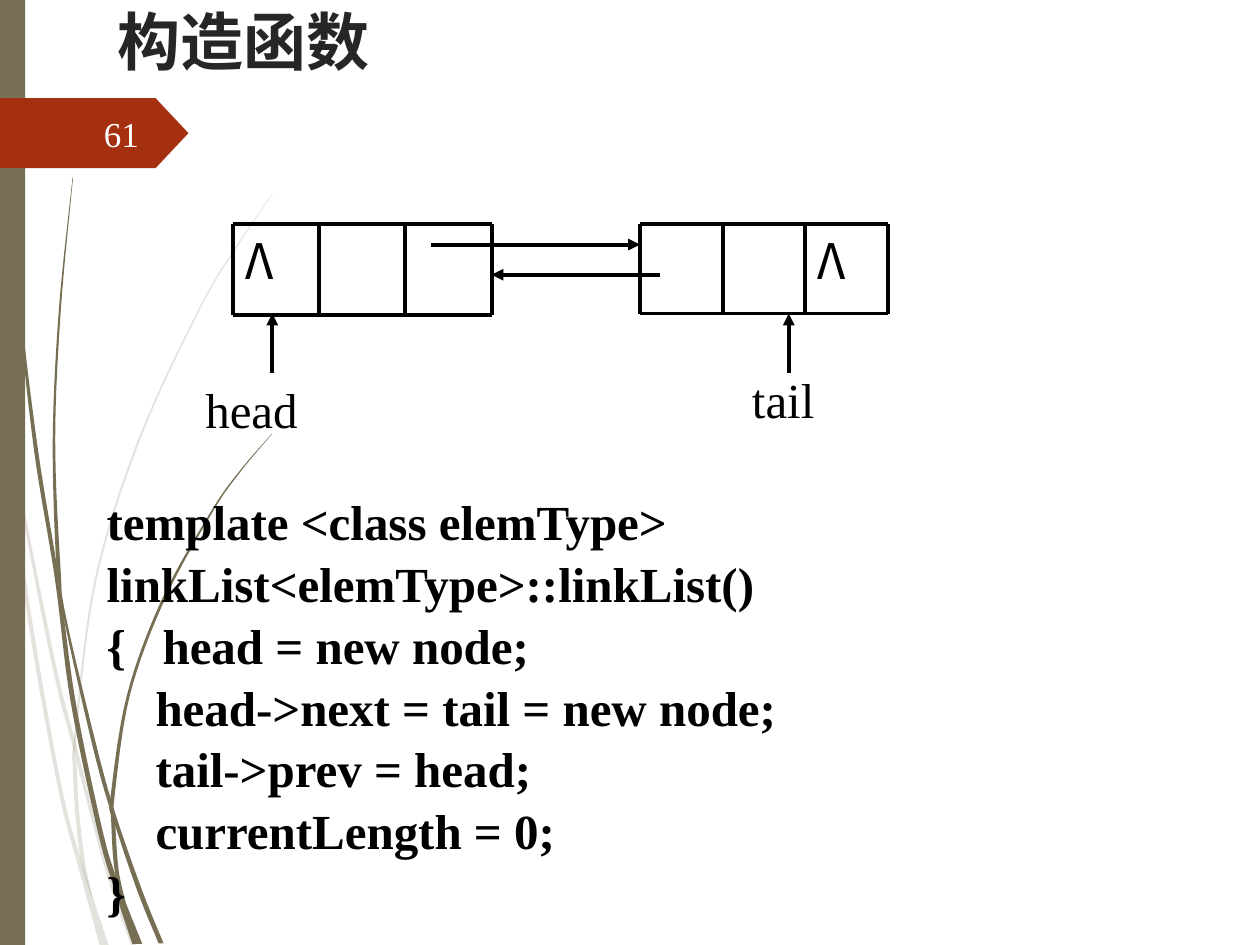
from lxml import etree
from pptx import Presentation
from pptx import util as u
from pptx.dml.color import RGBColor
from pptx.enum import shapes, text
from pptx.oxml import ns

COLORS = {"olive": "766F54", "rust": "A53010", "title": "262626",
          "number": "FEFFFF", "ink": "000000"}
SERIF, HEADING, CJK = "Times New Roman", "Quicksand", "Noto Sans CJK SC"

PALE_STEMS = [
    [(0, 7.4, .03), (.25, 9.14, .05), (1.05, 13.23, .08), (1.52, 15.11, .08),
     (2.18, 17.6, .08), (2.69, 19.05, .1)],
    [(.2, 8.89, .03), (.52, 11.94, .08), (1.18, 15.75, .08), (1.63, 17.48, .1),
     (2.1, 19.05, .18)],
    [(5.5, 3.89, .01), (4.74, 5.02, .03), (4.03, 6.21, .03), (2.81, 8.85, .04),
     (1.92, 11.72, .04), (1.52, 14.83, .05), (1.51, 15.49, .08),
     (1.56, 16.41, .08), (1.68, 17.4, .08), (1.85, 18.06, .02)],
]
DARK_STEMS = [
    [(.06, 0, .02), (.14, 2.79, .03), (.37, 5.92, .04), (.72, 9.02, .08),
     (1.15, 11.68, .08), (1.47, 14.12, .1), (2.01, 16.71, .1),
     (2.32, 17.78, .12), (2.77, 19.03, .2)],
    [(1.47, 3.58, .01), (1.21, 6.22, .04), (1.09, 8.86, .05), (1.18, 11.43, .08),
     (1.31, 12.45, .05), (1.9, 15.01, .08), (2.28, 16.38, .08),
     (2.82, 17.96, .1), (3.25, 19.02, .1)],
    [(5.49, 8.74, .01), (4.85, 9.49, .03), (4.28, 10.3, .04), (3.3, 12.07, .06),
     (2.59, 14.01, .06), (2.27, 16.05, .08), (2.28, 16.51, .08),
     (2.35, 17.53, .08), (2.54, 18.26, .02)],
]
CODE = [
    "template <class elemType>",
    "linkList<elemType>::linkList()",
    "{   head = new node;",
    "    head->next = tail = new node;",
    "    tail->prev = head;",
    "    currentLength = 0;",
    "}",
]


def cm(*lengths):
    return [u.Cm(length) for length in lengths]


def paint(shape, color, alpha=None):
    shape.shadow.inherit = False
    shape.fill.solid()
    shape.fill.fore_color.rgb = RGBColor.from_string(COLORS[color])
    shape.line.fill.background()
    if alpha:
        tint = shape.element.spPr.find(".//" + ns.qn("a:srgbClr"))
        etree.SubElement(tint, ns.qn("a:alpha"), val=str(alpha * 1000))


def write(paragraph, words, size, color, font, bold=False):
    run = paragraph.add_run()
    run.text = words
    run.font.size = u.Pt(size)
    run.font.bold = bold
    run.font.name = font
    run.font.color.rgb = RGBColor.from_string(COLORS[color])
    return run


def add_label(slide, box, lines, size, color, font, bold=False,
              align=text.PP_ALIGN.LEFT, anchor=text.MSO_ANCHOR.TOP, spacing=None):
    frame = slide.shapes.add_textbox(*cm(*box)).text_frame
    frame.word_wrap = True
    frame.vertical_anchor = anchor
    for index, line in enumerate(lines):
        paragraph = frame.add_paragraph() if index else frame.paragraphs[0]
        paragraph.alignment = align
        paragraph.line_spacing = spacing
        run = write(paragraph, line, size, color, font, bold)
        if font == CJK:
            set_east_asian(run)


def set_east_asian(run):
    latin = run.font._element.find(ns.qn("a:latin"))
    latin.addnext(latin.makeelement(ns.qn("a:ea"), {"typeface": CJK}))


def add_line(slide, start, end, arrow=False):
    line = slide.shapes.add_connector(shapes.MSO_CONNECTOR.STRAIGHT,
                                      *cm(*start, *end))
    line.line.width = u.Pt(2.25)
    line.line.color.rgb = RGBColor.from_string(COLORS["ink"])
    if arrow:
        etree.SubElement(line.line._get_or_add_ln(), ns.qn("a:tailEnd"),
                         type="triangle")
    etree.SubElement(line.element.spPr, ns.qn("a:effectLst"))


def smooth_curve(knots, steps=8):
    padded = [knots[0], *knots, knots[-1]]
    curve = []
    for a, b, c, d in zip(padded, padded[1:], padded[2:], padded[3:]):
        for step in range(steps):
            t = step / steps
            curve.append([
                (2 * q + (r - p) * t + (2 * p - 5 * q + 4 * r - s) * t ** 2
                 + (3 * q - p - 3 * r + s) * t ** 3) / 2
                for p, q, r, s in zip(a, b, c, d)])
    return curve + [knots[-1]]


def add_stem(slide, left, top, knots, alpha=None):
    curve = smooth_curve(knots)
    outline = [(left + x - w / 2, top + y) for x, y, w in curve]
    outline += [(left + x + w / 2, top + y) for x, y, w in reversed(curve)]
    points = [cm(*point) for point in outline]
    builder = slide.shapes.build_freeform(*points[0])
    builder.add_line_segments(points[1:])
    paint(builder.convert_to_shape(), "olive", alpha)


def add_decoration(slide, left, top, height):
    for knots in PALE_STEMS:
        add_stem(slide, left, top, knots, alpha=20)
    for knots in DARK_STEMS:
        add_stem(slide, left, top, knots)
    side_bar = slide.shapes.add_shape(shapes.MSO_SHAPE.RECTANGLE,
                                      *cm(left, top, .51, height))
    paint(side_bar, "olive")


def add_page_marker(slide, left, top, width, height):
    marker = slide.shapes.add_shape(shapes.MSO_SHAPE.PENTAGON,
                                    *cm(left, top, width, height))
    marker.adjustments[0] = .47
    paint(marker, "rust")
    add_label(slide, (left + 1.42, top + .2, 1.63, 1.02), ["61"], 20, "number",
              SERIF, align=text.PP_ALIGN.RIGHT, anchor=text.MSO_ANCHOR.MIDDLE)


def add_title(slide, left, top, width, height):
    title = slide.shapes.title
    title.left, title.top, title.width, title.height = cm(left, top, width, height)
    frame = title.text_frame
    frame.auto_size = text.MSO_AUTO_SIZE.NONE
    frame.vertical_anchor = text.MSO_ANCHOR.TOP
    frame.paragraphs[0].alignment = text.PP_ALIGN.LEFT
    set_east_asian(write(frame.paragraphs[0], "构造函数", 36, "title", HEADING, True))


def add_node(slide, left, top, width, height, null_cell):
    cell = width / 3
    add_label(slide, (left + null_cell * cell, top, cell, height), ["Λ"],
              28, "ink", CJK)
    for y in (top, top + height):
        add_line(slide, (left, y), (left + width, y))
    for column in range(4):
        x = left + column * cell
        add_line(slide, (x, top), (x, top + height))


def add_list_diagram(slide, left, top):
    add_node(slide, left + .81, top, 5.21, 1.83, null_cell=0)
    add_node(slide, left + 9.01, top, 5, 1.8, null_cell=2)
    for start, end, y in ((4.8, 9.01, .41), (9.42, 6.02, 1.02)):
        add_line(slide, (left + start, top + y), (left + end, top + y), arrow=True)
    for name, pointer, x, y, width in (("head", 1.6, 0, 3, 3.4),
                                       ("tail", 12.01, 11.02, 2.8, 2.79)):
        add_line(slide, (left + pointer, top + 3), (left + pointer, top + 1.8),
                 arrow=True)
        add_label(slide, (left + x, top + y, width, 1.45), [name], 28, "ink", SERIF)


def add_code(slide, left, top, width, height):
    add_label(slide, (left, top, width, height), CODE, 28, "ink", SERIF,
              bold=True, spacing=1.05)


def main():
    deck = Presentation()
    deck.slide_width, deck.slide_height = cm(25.4, 19.05)
    slide = deck.slides.add_slide(deck.slide_layouts[5])
    add_decoration(slide, 0, 0, 19.05)
    add_page_marker(slide, 0, 1.98, 3.8, 1.41)
    add_title(slide, 2.11, -.08, 21.59, 3.18)
    add_code(slide, 1.9, 9.73, 21, 8.56)
    add_list_diagram(slide, 3.89, 4.52)
    deck.save("out.pptx")


if __name__ == "__main__":
    main()
